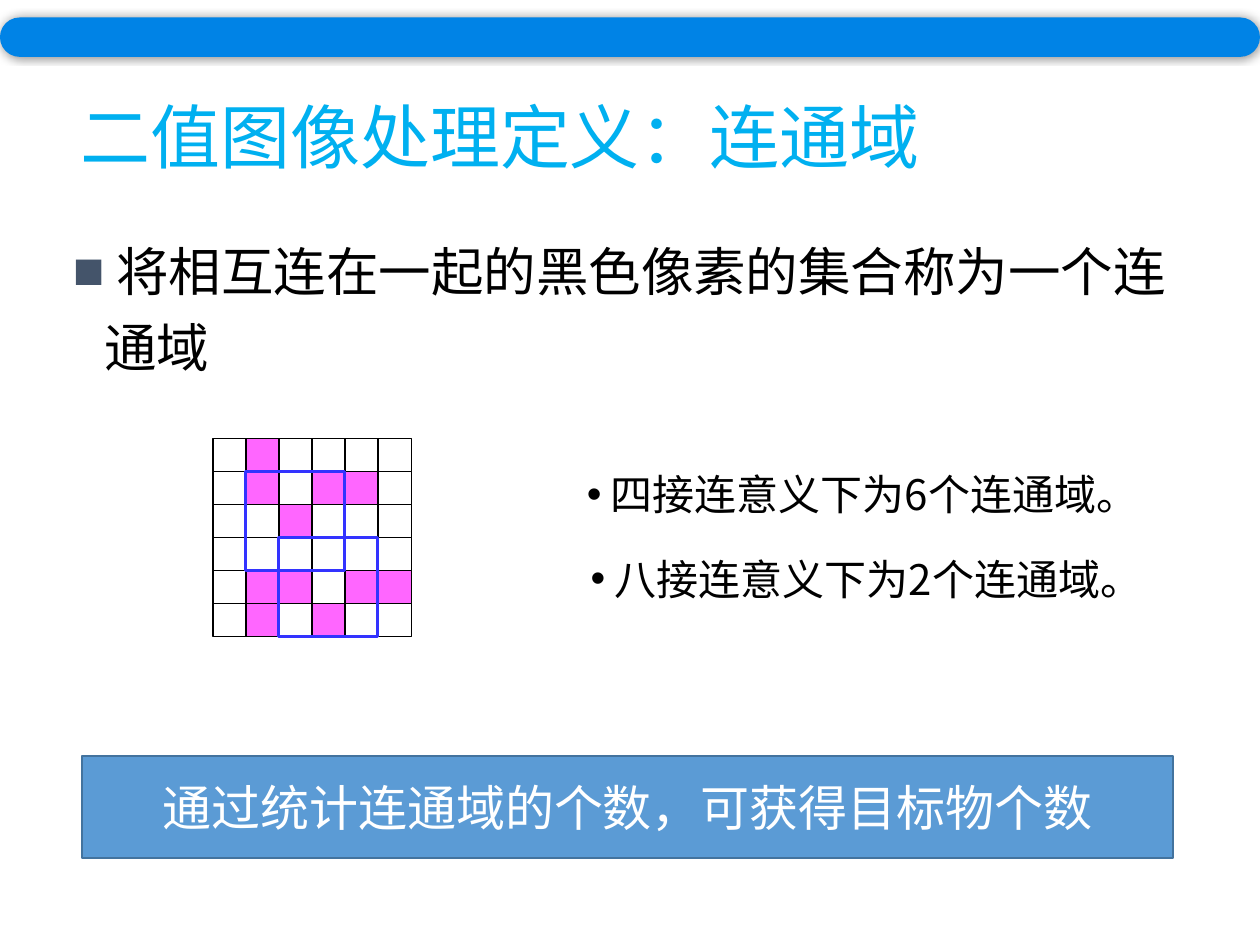
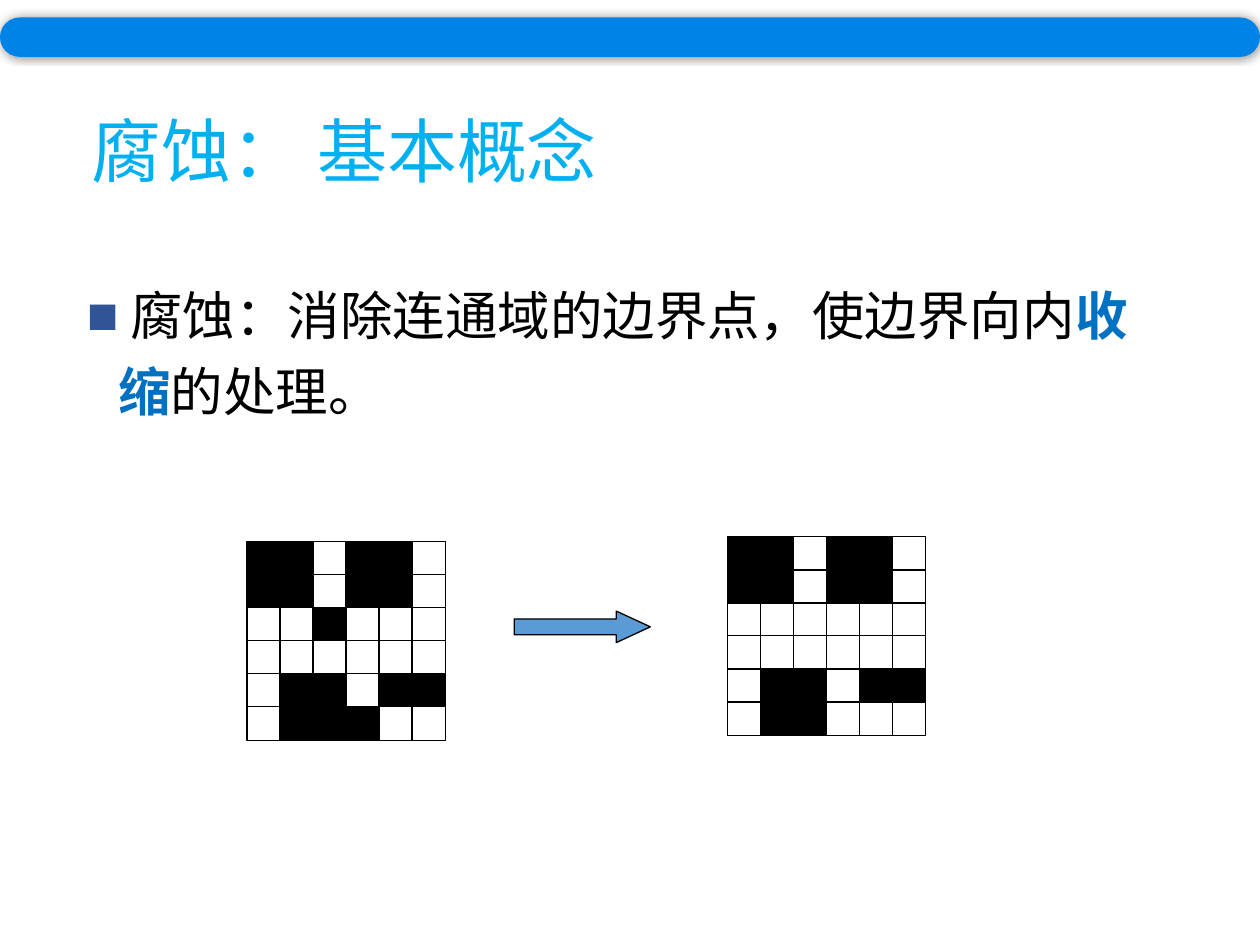
from pptx import Presentation
from pptx.dml.color import RGBColor as RGB
from pptx.enum.shapes import MSO_SHAPE as SHAPE
from pptx.enum.text import MSO_ANCHOR as ANCHOR, PP_ALIGN as ALIGN
from pptx.oxml.ns import qn
from pptx.util import Pt
from lxml.etree import SubElement as Sub

FONT = "Noto Sans CJK SC"
BLACK = RGB(0x00, 0x00, 0x00)
WHITE = RGB(0xFF, 0xFF, 0xFF)
SKY = RGB(0x00, 0xB0, 0xF0)
BAND = RGB(0x00, 0x83, 0xE6)
STEEL = RGB(0x5B, 0x9B, 0xD5)
EDGE = RGB(0x43, 0x73, 0x9E)
PINK = RGB(0xFF, 0x66, 0xFF)
FRAME = RGB(0x33, 0x33, 0xFF)
SLATE = RGB(0x44, 0x54, 0x6A)
NAVY = RGB(0x2F, 0x55, 0x97)
STRONG = RGB(0x00, 0x70, 0xC0)

PITCH = 18.86
CELL = 19.1

LINKED = [
    ".#....",
    ".#.##.",
    "..#...",
    "......",
    ".##.##",
    ".#.#..",
]
BEFORE = [
    "##.##.",
    "##.##.",
    "..#...",
    "......",
    ".##.##",
    ".###..",
]
AFTER = [
    "##.##.",
    "##.##.",
    "......",
    "......",
    ".##.##",
    ".##...",
]


def style(run, size, color, bold=False):
    font = run.font
    font.name, font.size, font.bold = FONT, Pt(size), bold
    font.color.rgb = color
    Sub(font._element, qn("a:ea"), typeface=FONT)


def shape(home, kind, box, fill=None, line=None, width=0.75):
    item = home.add_shape(kind, *map(Pt, box))
    item.shadow.inherit = False
    if fill is None:
        item.fill.background()
    else:
        item.fill.solid()
        item.fill.fore_color.rgb = fill
    if line is None:
        item.line.fill.background()
    else:
        item.line.color.rgb = line
        item.line.width = Pt(width)
    return item


def text(slide, box, parts, size, anchor=ANCHOR.TOP):
    frame = slide.shapes.add_textbox(*map(Pt, box)).text_frame
    frame.word_wrap = True
    frame.vertical_anchor = anchor
    para = frame.paragraphs[0]
    for words, color, bold in parts:
        run = para.add_run()
        run.text = words
        style(run, size, color, bold)
    return para


def bullet(para, mark, color):
    props = para._p.get_or_add_pPr()
    tint = Sub(props, qn("a:buClr"))
    Sub(tint, qn("a:srgbClr"), val=str(color))
    Sub(props, qn("a:buFont"), typeface="Arial")
    Sub(props, qn("a:buChar"), char=mark)


def title(slide, box, words):
    para = text(slide, box, [(words, SKY, False)], 40, ANCHOR.MIDDLE)
    para.line_spacing = 0.9


def body(slide, box, parts, color):
    para = text(slide, box, parts, 30)
    para.line_spacing = 1.2
    para.space_before = Pt(10)
    props = para._p.get_or_add_pPr()
    props.set("marL", str(Pt(18)))
    props.set("indent", str(Pt(-18)))
    bullet(para, "■", color)


def note(slide, left, top, words):
    para = text(slide, (left, top, 354, 36), [(words, BLACK, False)], 24)
    para.space_before = Pt(12)
    bullet(para, "•", BLACK)


def grid(slide, left, top, rows, color):
    group = slide.shapes.add_group_shape()
    for r, row in enumerate(rows):
        for c, mark in enumerate(row):
            box = (left + c * PITCH, top + r * PITCH, CELL, CELL)
            fill = color if mark == "#" else WHITE
            shape(group.shapes, SHAPE.RECTANGLE, box, fill, BLACK)


def band(slide):
    bar = shape(slide.shapes, SHAPE.ROUNDED_RECTANGLE, (0, 10, 720, 22.5), BAND)
    bar.adjustments[0] = 0.5
    glow = Sub(bar._element.spPr.find(qn("a:effectLst")), qn("a:outerShdw"),
               blurRad=str(Pt(5)), dist="0", dir="0", rotWithShape="0")
    tint = Sub(glow, qn("a:srgbClr"), val=str(BLACK))
    Sub(tint, qn("a:alpha"), val="40000")


def banner(slide, box, words):
    item = shape(slide.shapes, SHAPE.RECTANGLE, box, STEEL, EDGE, 1)
    frame = item.text_frame
    frame.text = words
    frame.vertical_anchor = ANCHOR.MIDDLE
    para = frame.paragraphs[0]
    para.alignment = ALIGN.CENTER
    style(para.runs[0], 28, WHITE)


def regions(slide):
    title(slide, (38.9, 54, 504.7, 52.5), "二值图像处理定义：连通域")
    body(slide, (34.5, 126, 642.3, 108),
         [(" 将相互连在一起的黑色像素的集合称为一个连通域", BLACK, False)], SLATE)
    left, top = 121.7, 250.5
    grid(slide, left, top, LINKED, PINK)
    side = 3 * PITCH
    for col, row in ((1, 1), (2, 3)):
        box = (left + col * PITCH - 0.4, top + row * PITCH, side, side)
        shape(slide.shapes, SHAPE.RECTANGLE, box, None, FRAME, 1.5)
    note(slide, 328.3, 264.2, " 四接连意义下为6个连通域。")
    note(slide, 330.5, 312.5, " 八接连意义下为2个连通域。")
    band(slide)
    banner(slide, (46.8, 432, 623.5, 58.3), "通过统计连通域的个数，可获得目标物个数")


def erosion(slide):
    title(slide, (45.4, 43.2, 552.2, 90), "腐蚀： 基本概念")
    body(slide, (42.5, 151.2, 625, 102.2),
         [(" 腐蚀：消除连通域的边界点，使边界向内", BLACK, False),
          ("收缩", STRONG, True),
          ("的处理。", BLACK, False)], NAVY)
    grid(slide, 141.1, 309.6, BEFORE, BLACK)
    arrow = shape(slide.shapes, SHAPE.RIGHT_ARROW, (293.8, 349.2, 77.8, 18),
                  STEEL, BLACK)
    arrow.adjustments[0] = 0.5
    arrow.adjustments[1] = 1.08
    grid(slide, 415.6, 306.8, AFTER, BLACK)
    band(slide)


def main():
    deck = Presentation()
    deck.slide_width, deck.slide_height = Pt(720), Pt(540)
    for draw in (regions, erosion):
        draw(deck.slides.add_slide(deck.slide_layouts[6]))
    deck.save("out.pptx")


if __name__ == "__main__":
    main()
